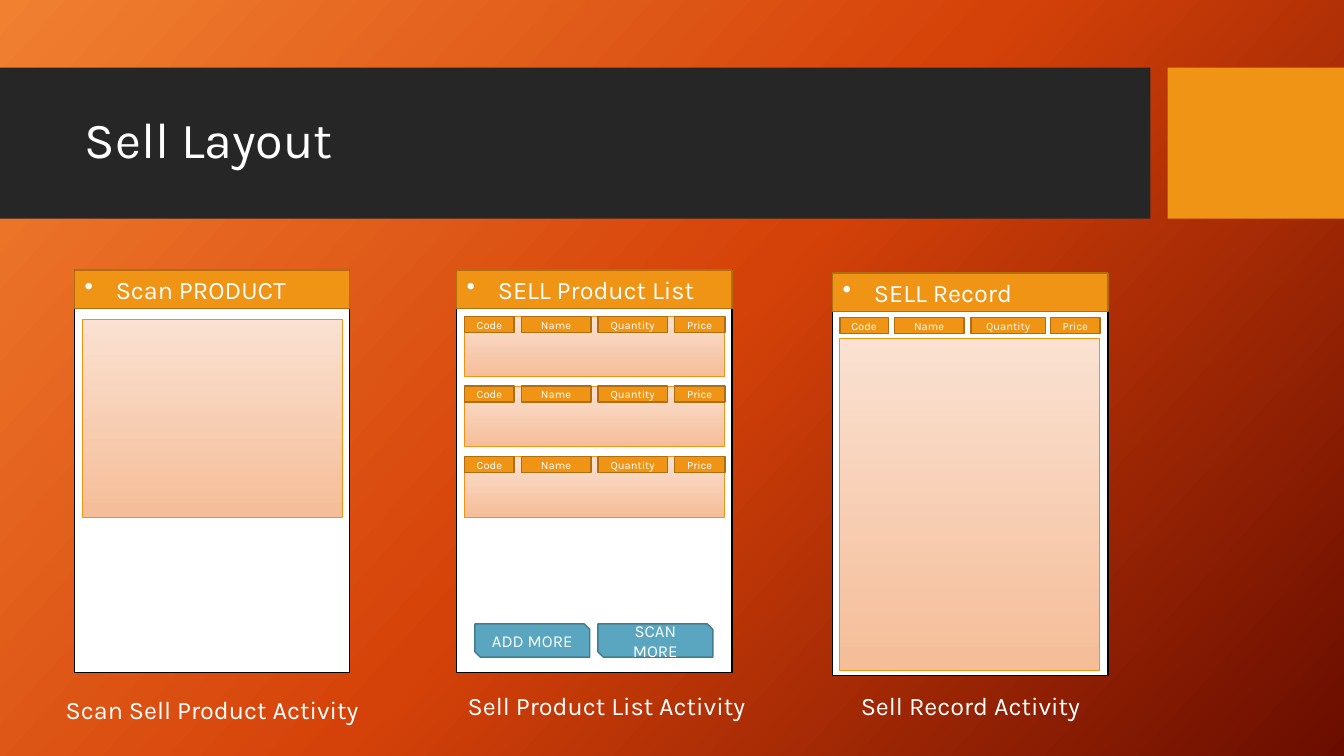
from copy import deepcopy

from pptx import Presentation
from pptx.dml.color import RGBColor
from pptx.enum.shapes import MSO_SHAPE
from pptx.enum.text import MSO_ANCHOR, MSO_AUTO_SIZE, PP_ALIGN
from pptx.oxml.ns import qn
from pptx.util import Pt

PX = 9144  # 100 px to the inch
RECT, SNIPPED = MSO_SHAPE.RECTANGLE, MSO_SHAPE.SNIP_2_DIAG_RECTANGLE
LEFT, CENTER = PP_ALIGN.LEFT, PP_ALIGN.CENTER
TOP, MIDDLE = MSO_ANCHOR.TOP, MSO_ANCHOR.MIDDLE
WHITE, BLACK, CHARCOAL = "FFFFFF", "000000", "262626"
ORANGE, BROWN = "F09415", "B26D10"
BLUE, DARK_BLUE = "5AA6C0", "437B8E"
PEACH = ("FAE1D1", "F5BD98")
color = RGBColor.from_string


def write(frame, text, size=18, align=CENTER, anchor=MIDDLE, bullet=False):
    frame.word_wrap = True
    frame.vertical_anchor = anchor
    para = frame.paragraphs[0]
    para.alignment = align
    if bullet:
        properties = para._p.get_or_add_pPr()
        properties.set("marL", str(31 * PX))
        properties.set("indent", str(-31 * PX))
        properties.makeelement(qn("a:buChar"))
        mark = properties.makeelement(qn("a:buChar"), {"char": "•"})
        properties.append(mark)
    span = para.add_run()
    span.text = text
    span.font.name = "Karla"
    span.font.size = Pt(size)
    span.font.color.rgb = color(WHITE)
    return para


def add_block(left, top, width, height, fill, line=None, weight=1, kind=RECT):
    """Add a shape; a pair of fill colours makes a gradient from top to bottom."""
    block = page.shapes.add_shape(kind, left * PX, top * PX, width * PX, height * PX)
    block.shadow.inherit = False
    if isinstance(fill, tuple):
        block.fill.gradient()
        block.fill.gradient_angle = 270
        for stop, shade in zip(block.fill.gradient_stops, fill):
            stop.color.rgb = color(shade)
    else:
        block.fill.solid()
        block.fill.fore_color.rgb = color(fill)
    if line:
        block.line.color.rgb = color(line)
        block.line.width = Pt(weight)
    else:
        block.line.fill.background()
    return block


deck = Presentation()
deck.slide_width, deck.slide_height = 1333 * PX, 750 * PX
page = deck.slides.add_slide(deck.slide_layouts[5])

# Background
backdrop = page.background.fill
backdrop.gradient()
backdrop.gradient_angle = 360 - 42
first_stop = next(page.element.iter(qn("a:gs")))
first_stop.addnext(deepcopy(first_stop))
for stop, (position, shade) in zip(
    backdrop.gradient_stops, [(0, "F18031"), (0.5, "D54209"), (1, "6A0D00")]
):
    stop.position = position
    stop.color.rgb = color(shade)

# Title band
add_block(0, 67, 1141, 150, CHARCOAL)
add_block(1158, 67, 175, 150, ORANGE)
title = page.shapes.title
title.left, title.top, title.width, title.height = 74 * PX, 82 * PX, 1051 * PX, 118 * PX
title.element.getparent().append(title.element)  # in front of the band
write(title.text_frame, "Sell Layout", size=36, align=LEFT).line_spacing = 0.9
title.text_frame.auto_size = MSO_AUTO_SIZE.NONE

# Phone screens: left, top, heading, caption, caption left, caption top
screens = [
    (74, 268, "Scan PRODUCT", "Scan Sell Product Activity", 43, 684),
    (453, 268, "SELL Product List", "Sell Product List Activity", 434, 680),
    (826, 271, "SELL Record", "Sell Record Activity", 795, 680),
]
for left, top, heading, caption, caption_left, caption_top in screens:
    add_block(left, top, 273, 399, WHITE, BLACK)
    header = add_block(left, top, 273, 38, ORANGE, BROWN)
    write(header.text_frame, heading, align=LEFT, bullet=True)
    box = page.shapes.add_textbox(caption_left * PX, caption_top * PX, 335 * PX, 40 * PX)
    write(box.text_frame, caption, anchor=TOP)
    box.text_frame.auto_size = MSO_AUTO_SIZE.SHAPE_TO_FIT_TEXT

# Content panels: left, top, height
list_tops = [314, 383, 453]
panels = [(82, 317, 196), (833, 336, 329)] + [(461, top, 60) for top in list_tops]
for left, top, height in panels:
    add_block(left, top, 258, height, PEACH, ORANGE, weight=0.75)

# Column labels: left and width of each
list_columns = [(461, 49), (517, 69), (593, 69), (669, 50)]
record_columns = [(833, 48), (887, 69), (963, 74), (1042, 49)]
label_rows = [(top, list_columns) for top in list_tops] + [(315, record_columns)]
for top, columns in label_rows:
    for (left, width), name in zip(columns, ["Code", "Name", "Quantity", "Price"]):
        label = add_block(left, top, width, 16, ORANGE, BROWN)
        write(label.text_frame, name, size=8)

# Buttons
for left, name in [(471, "ADD MORE"), (593, "SCAN MORE")]:
    button = add_block(left, 619, 114, 33, BLUE, DARK_BLUE, kind=SNIPPED)
    write(button.text_frame, name, size=12)

deck.save("out.pptx")
